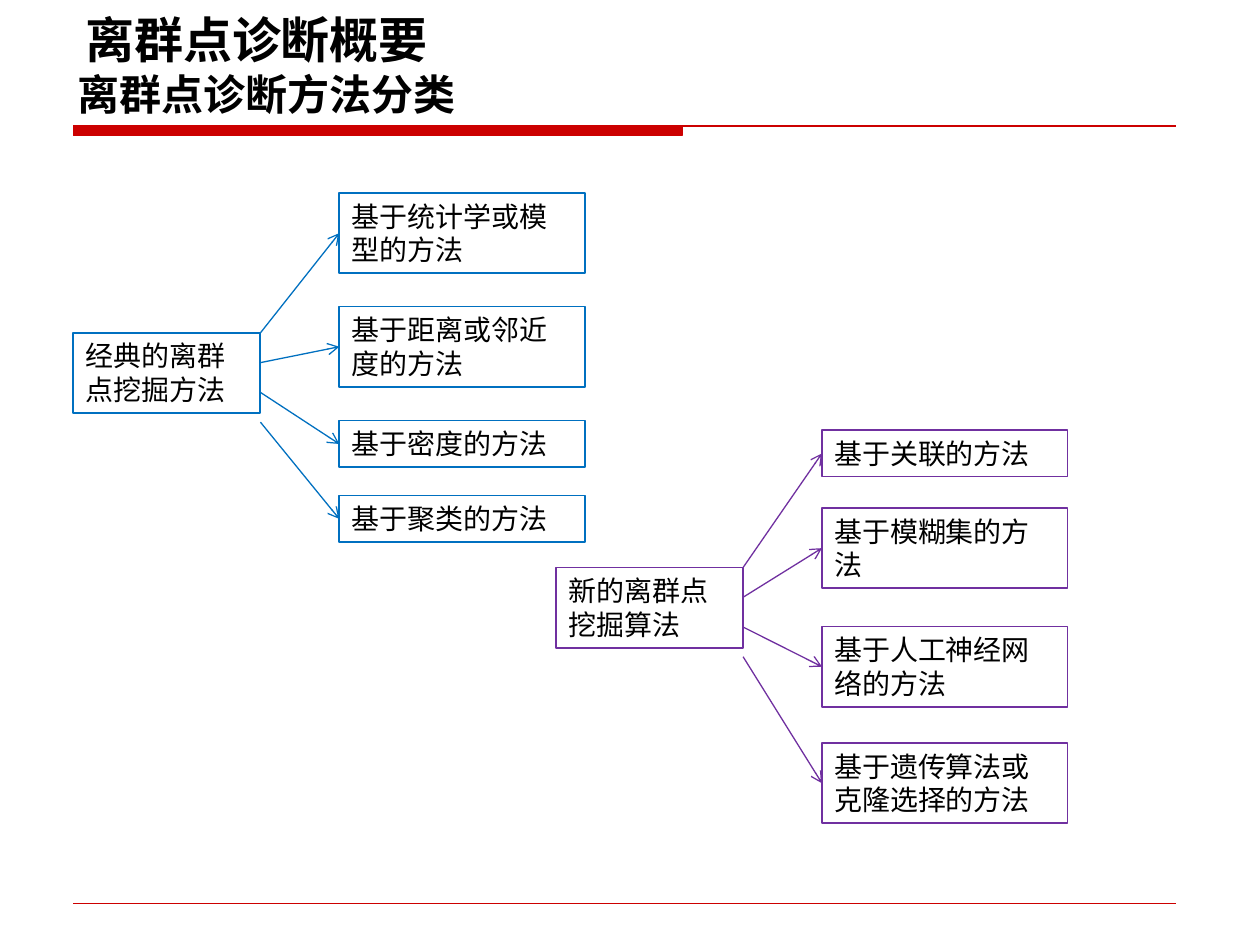
import lxml.etree
import pptx
import pptx.dml.color
import pptx.enum.shapes
import pptx.enum.text
import pptx.oxml.ns
import pptx.util

Cm = pptx.util.Cm
FONT = "Noto Sans CJK SC"
RED, BLUE, PURPLE, BLACK = "CC0000", "0070C0", "7030A0", "000000"
ONE_LINE, TWO_LINES = 0.94, 1.62  # box heights in cm


def color(value):
    return pptx.dml.color.RGBColor.from_string(value)


def add_element(parent, tag, **attributes):
    return lxml.etree.SubElement(parent, pptx.oxml.ns.qn(tag), **attributes)


def write_text(box, text, size, bold=False, anchor=pptx.enum.text.MSO_ANCHOR.TOP):
    frame = box.text_frame
    frame.word_wrap = True
    frame.auto_size = pptx.enum.text.MSO_AUTO_SIZE.NONE
    frame.vertical_anchor = anchor
    frame.text = text
    para = frame.paragraphs[0]
    para.alignment = pptx.enum.text.PP_ALIGN.LEFT
    para.line_spacing = 1.0
    para.font.size = pptx.util.Pt(size)
    para.font.bold = bold
    para.font.color.rgb = color(BLACK)
    # Chinese text takes its typeface from the East Asian font of the run
    span = para.runs[0]
    span.font.name = FONT
    add_element(span.font._element, "a:ea", typeface=FONT)


def add_box(page, left, top, width, height, line, fill=None, weight=1):
    box = page.shapes.add_shape(
        pptx.enum.shapes.MSO_SHAPE.RECTANGLE,
        Cm(left), Cm(top), Cm(width), Cm(height))
    box.shadow.inherit = False
    if fill:
        box.fill.solid()
        box.fill.fore_color.rgb = color(fill)
    else:
        box.fill.background()
    box.line.color.rgb = color(line)
    box.line.width = pptx.util.Pt(weight)
    return box


def add_line(page, start, end, line):
    connector = page.shapes.add_connector(
        pptx.enum.shapes.MSO_CONNECTOR.STRAIGHT,
        Cm(start[0]), Cm(start[1]), Cm(end[0]), Cm(end[1]))
    connector.line.color.rgb = color(line)
    connector.line.width = pptx.util.Pt(0.75)
    add_element(connector._element.spPr, "a:effectLst")
    return connector


def add_frame(page, left, top, width, height):
    """Rules above and below the content, with the thick red bar."""
    for y in (top, top + height):
        add_line(page, (left, y), (left + width, y), RED)
    add_box(page, left, top, 12.27, 0.2, RED, fill=RED, weight=0.75)


def add_heading(page, left, top, width):
    """Section name with the slide title below it."""
    middle = pptx.enum.text.MSO_ANCHOR.MIDDLE
    section = page.shapes.add_textbox(Cm(left + 0.17), Cm(top), Cm(15.55), Cm(1.57))
    write_text(section, "离群点诊断概要", 28, True, middle)

    title = page.shapes.title
    title.left, title.top = Cm(left), Cm(top + 1.27)
    title.width, title.height = Cm(width), Cm(1.25)
    write_text(title, "离群点诊断方法分类", 24, True, middle)


def add_tree(page, left, top, root, root_offset, methods, line):
    """A root box with an arrow to each method; offsets run from the top."""
    root_width, method_width, indent, arrow_step = 3.77, 4.95, 5.36, 0.6
    root_top = top + root_offset
    root_box = add_box(page, left, root_top, root_width, TWO_LINES, line)
    write_text(root_box, root, 16)

    for index, (text, offset, height) in enumerate(methods):
        method_left, method_top = left + indent, top + offset
        box = add_box(page, method_left, method_top, method_width, height, line)
        write_text(box, text, 16)

        start = (left + root_width, root_top + index * arrow_step)
        arrow = add_line(page, start, (method_left, method_top + height / 2), line)
        arrow.end_connect(box, 1)
        add_element(arrow.line._get_or_add_ln(), "a:tailEnd", type="arrow")


def main():
    deck = pptx.Presentation()
    deck.slide_width, deck.slide_height = Cm(25.4), Cm(19.05)
    page = deck.slides.add_slide(deck.slide_layouts[5])

    add_frame(page, 1.48, 2.54, 22.22, 15.67)
    add_heading(page, 1.3, 0, 22.8)

    # Classic methods
    add_tree(page, 1.48, 3.89, "经典的离群点挖掘方法", 2.82, [
        ("基于统计学或模型的方法", 0, TWO_LINES),
        ("基于距离或邻近度的方法", 2.29, TWO_LINES),
        ("基于密度的方法", 4.59, ONE_LINE),
        ("基于聚类的方法", 6.1, ONE_LINE),
    ], BLUE)

    # New algorithms
    add_tree(page, 11.21, 8.67, "新的离群点挖掘算法", 2.77, [
        ("基于关联的方法", 0, ONE_LINE),
        ("基于模糊集的方法", 1.57, TWO_LINES),
        ("基于人工神经网络的方法", 3.96, TWO_LINES),
        ("基于遗传算法或克隆选择的方法", 6.31, TWO_LINES),
    ], PURPLE)

    deck.save("out.pptx")


if __name__ == "__main__":
    main()
